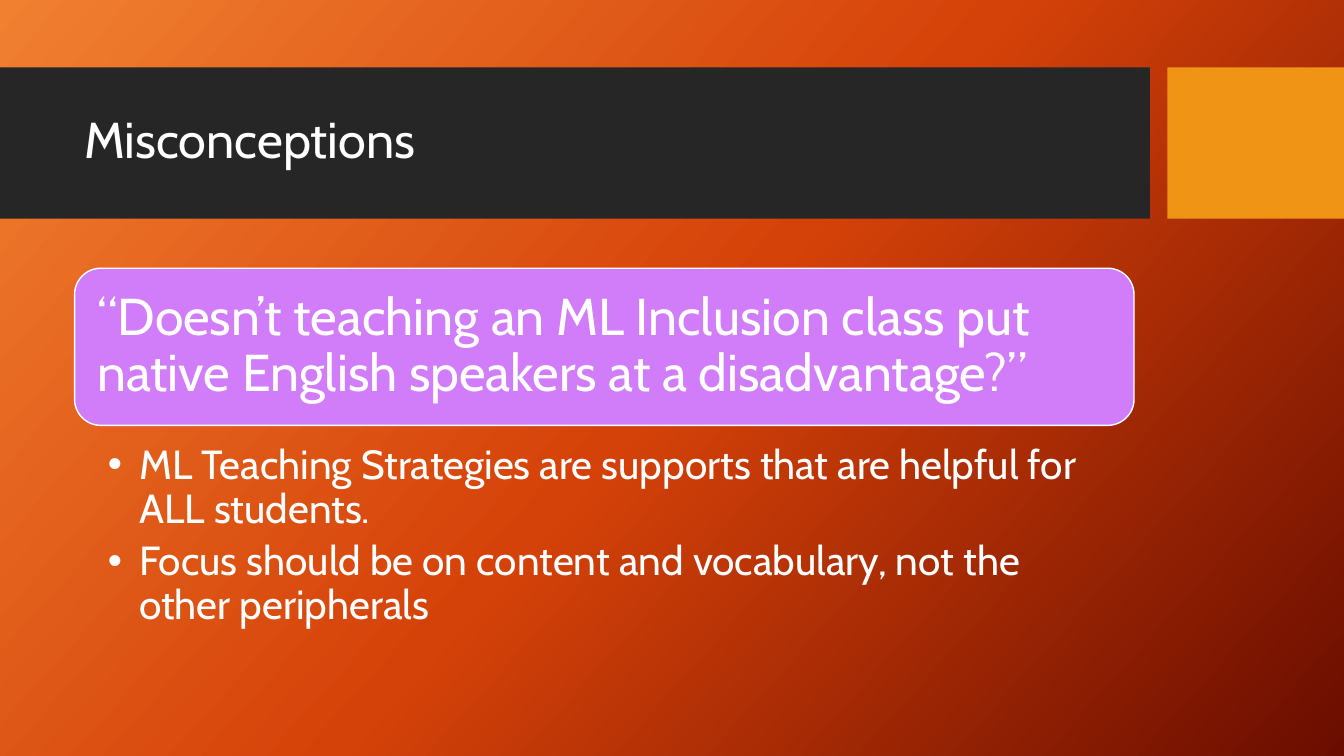
from copy import deepcopy

from lxml import etree
from pptx import Presentation
from pptx.dml.color import RGBColor
from pptx.enum.shapes import MSO_SHAPE
from pptx.enum.text import MSO_ANCHOR, PP_ALIGN
from pptx.oxml.ns import qn
from pptx.util import Cm, Pt

RECTANGLE = MSO_SHAPE.RECTANGLE
ROUNDED = MSO_SHAPE.ROUNDED_RECTANGLE
MIDDLE, TOP = MSO_ANCHOR.MIDDLE, MSO_ANCHOR.TOP
LEFT = PP_ALIGN.LEFT

FONT = "Cabin"
WHITE = "FFFFFF"
CONTENT_LEFT, CONTENT_WIDTH = Cm(1.88), Cm(26.7)
BAND_TOP, BAND_HEIGHT = Cm(1.7), Cm(3.81)
BULLET_INDENT = Cm(0.79)


def color(value):
    return RGBColor.from_string(value)


def write(box, lines, size, anchor, margins):
    """Fill a box with left-aligned white paragraphs; margins are left, top, right, bottom."""
    frame = box.text_frame
    frame.word_wrap = True
    frame.vertical_anchor = anchor
    frame.margin_left, frame.margin_top, frame.margin_right, frame.margin_bottom = map(Cm, margins)
    frame.text = "\n".join(lines)
    for para in frame.paragraphs:
        para.alignment = LEFT
        para.line_spacing = 0.9
        for span in para.runs:
            span.font.name = FONT
            span.font.size = Pt(size)
            span.font.color.rgb = color(WHITE)
    return frame.paragraphs


deck = Presentation()
deck.slide_width, deck.slide_height = Cm(33.87), Cm(19.05)
page = deck.slides.add_slide(deck.slide_layouts[6])

# Background gradient with three stops
background = page.background.fill
background.gradient()
background.gradient_angle = 360 - 42
stop_list = page.element.find(".//" + qn("a:gsLst"))
stop_list.append(deepcopy(stop_list[-1]))
stops = [(0, "F18031"), (0.5, "D54209"), (1, "6A0D00")]
for stop, (position, value) in zip(background.gradient_stops, stops):
    stop.position = position
    stop.color.rgb = color(value)

# Title band and accent block
for left, width, value in [(0, 28.98, "262626"), (29.42, 4.45, "F09415")]:
    band = page.shapes.add_shape(RECTANGLE, Cm(left), BAND_TOP, Cm(width), BAND_HEIGHT)
    band.shadow.inherit = False
    band.fill.solid()
    band.fill.fore_color.rgb = color(value)
    band.line.fill.background()

# Title
title = page.shapes.add_textbox(CONTENT_LEFT, Cm(2.08), CONTENT_WIDTH, Cm(3))
write(title, ["Misconceptions"], 36, MIDDLE, (0.25, 0.13, 0.25, 0.13))

# Question card
card = page.shapes.add_shape(ROUNDED, CONTENT_LEFT, Cm(6.76), CONTENT_WIDTH, Cm(3.96))
card.shadow.inherit = False
card.fill.solid()
card.fill.fore_color.rgb = color("D17DF9")
card.line.color.rgb = color(WHITE)
card.line.width = Pt(1)
question = "“Doesn’t teaching an ML Inclusion class put native English speakers at a disadvantage?”"
# The rounded corners already inset the text by about 0.2 cm
write(card, [question], 37, MIDDLE, (0.38, 0.38, 0.38, 0.38))

# Bulleted answers
answers = page.shapes.add_textbox(CONTENT_LEFT, Cm(11.07), CONTENT_WIDTH, Cm(4.78))
points = [
    "ML Teaching Strategies are supports that are helpful for ALL students.",
    "Focus should be on content and vocabulary, not the other peripherals",
]
for para in write(answers, points, 29, TOP, (0.84, 0.13, 0.74, 0.13)):
    para.space_after = Pt(6)
    properties = para._p.get_or_add_pPr()
    properties.set("marL", str(BULLET_INDENT))
    properties.set("indent", str(-BULLET_INDENT))
    bullet_font = etree.SubElement(properties, qn("a:buFont"))
    bullet_font.set("typeface", "Arial")
    bullet = etree.SubElement(properties, qn("a:buChar"))
    bullet.set("char", "•")

deck.save("out.pptx")
